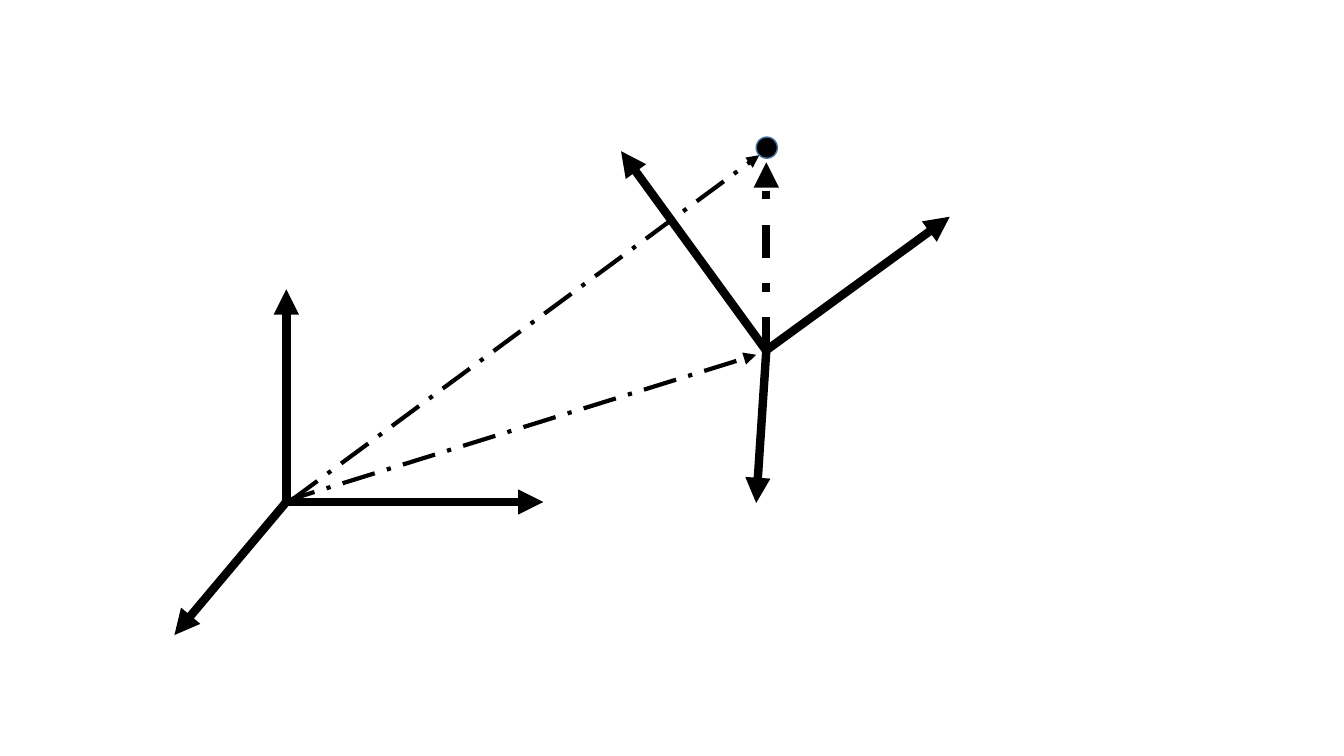
"""Draw a point seen from a fixed frame and a turned frame."""
from typing import NamedTuple, Optional

from lxml.etree import SubElement
from pptx import Presentation
from pptx.dml.color import RGBColor
from pptx.enum.dml import MSO_LINE
from pptx.enum.shapes import MSO_CONNECTOR, MSO_SHAPE
from pptx.oxml.ns import qn
from pptx.util import Inches, Pt

COLORS = {"ink": "000000", "rim": "43739E"}


class Arrow(NamedTuple):
    start: tuple[float, float]
    end: tuple[float, float]
    width: float = 6
    dash: Optional[MSO_LINE] = None


class Dot(NamedTuple):
    left: float
    top: float
    size: float


FIXED = [
    Arrow((2.84, 4.98), (1.73, 6.3)),
    Arrow((2.84, 4.98), (2.84, 2.87)),
    Arrow((2.81, 4.98), (5.39, 4.98)),
]
TURNED = [
    Arrow((7.6, 3.48), (7.5, 4.99)),
    Arrow((7.6, 3.48), (6.16, 1.5)),
    Arrow((7.58, 3.49), (9.42, 2.15)),
]
SHIFT = Arrow((2.8, 4.98), (7.5, 3.52), 3, MSO_LINE.LONG_DASH_DOT)
LOCAL = Arrow((7.6, 3.48), (7.6, 1.61), 6, MSO_LINE.DASH_DOT)
GLOBAL = Arrow((2.88, 4.97), (7.53, 1.54), 3, MSO_LINE.LONG_DASH_DOT)
POINT = Dot(7.5, 1.36, 0.21)


def color(name: str) -> RGBColor:
    return RGBColor.from_string(COLORS[name])


def draw_arrow(shapes, arrow: Arrow) -> None:
    ends = [Inches(v) for v in arrow.start + arrow.end]
    link = shapes.add_connector(MSO_CONNECTOR.STRAIGHT, *ends)
    link.line.color.rgb = color("ink")
    link.line.width = Pt(arrow.width)
    if arrow.dash is not None:
        link.line.dash_style = arrow.dash
    props = link._element.spPr
    SubElement(props.find(qn("a:ln")), qn("a:tailEnd"), type="triangle")
    SubElement(props, qn("a:effectLst"))


def draw_frame(shapes, axes: list[Arrow]) -> None:
    group = shapes.add_group_shape()
    for axis in axes:
        draw_arrow(group.shapes, axis)


def draw_dot(shapes, dot: Dot) -> None:
    size = Inches(dot.size)
    shape = shapes.add_shape(
        MSO_SHAPE.OVAL, Inches(dot.left), Inches(dot.top), size, size
    )
    shape.shadow.inherit = False
    shape.fill.solid()
    shape.fill.fore_color.rgb = color("ink")
    shape.line.color.rgb = color("rim")
    shape.line.width = Pt(1)


def main() -> None:
    deck = Presentation()
    deck.slide_width = Inches(13.33)
    deck.slide_height = Inches(7.5)
    shapes = deck.slides.add_slide(deck.slide_layouts[6]).shapes
    draw_frame(shapes, FIXED)
    draw_arrow(shapes, SHIFT)
    draw_frame(shapes, TURNED)
    draw_arrow(shapes, LOCAL)
    draw_arrow(shapes, GLOBAL)
    draw_dot(shapes, POINT)
    deck.save("out.pptx")


if __name__ == "__main__":
    main()
